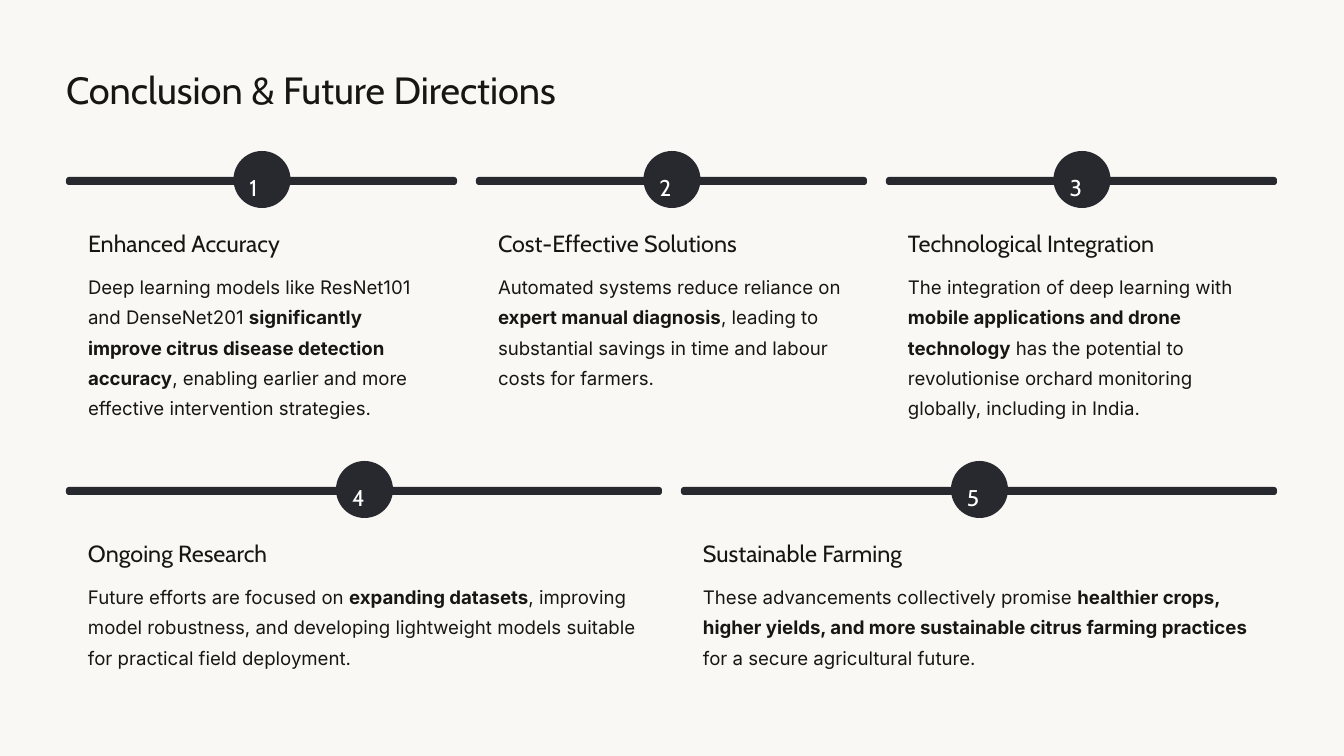
from pptx import Presentation
from pptx import util as u
from pptx.dml.color import RGBColor
from pptx.enum import shapes, text

PX = 914400 / 84
COLORS = {"paper": "F9F8F5", "dark": "28282F", "ink": "161613", "white": "FFFFFF"}
LEFT, CONTENT_W, GAP = 66, 1211, 19

# Each row: card top, card height, cards of (heading, plain, bold, plain)
ROWS = [
    (180, 262, [
        ("Enhanced Accuracy",
         "Deep learning models like ResNet101 and DenseNet201 ",
         "significantly improve citrus disease detection accuracy",
         ", enabling earlier and more effective intervention strategies."),
        ("Cost-Effective Solutions",
         "Automated systems reduce reliance on ",
         "expert manual diagnosis",
         ", leading to substantial savings in time and labour costs for farmers."),
        ("Technological Integration",
         "The integration of deep learning with ",
         "mobile applications and drone technology",
         " has the potential to revolutionise orchard monitoring globally, "
         "including in India."),
    ]),
    (490, 202, [
        ("Ongoing Research",
         "Future efforts are focused on ",
         "expanding datasets",
         ", improving model robustness, and developing lightweight models "
         "suitable for practical field deployment."),
        ("Sustainable Farming",
         "These advancements collectively promise ",
         "healthier crops, higher yields, and more sustainable citrus farming practices",
         " for a secure agricultural future."),
    ]),
]


def px(n):
    return u.Emu(round(n * PX))


def rgb(name):
    return RGBColor.from_string(COLORS[name])


def add_rounded(s, x, y, w, h, radius, color):
    sp = s.shapes.add_shape(shapes.MSO_SHAPE.ROUNDED_RECTANGLE,
                            px(x), px(y), px(w), px(h))
    sp.adjustments[0] = min(0.5, radius / min(w, h))
    sp.fill.solid()
    sp.fill.fore_color.rgb = rgb(color)
    sp.line.fill.background()
    sp.shadow.inherit = False


def add_text(s, x, y, w, h, runs, size, leading, font="Cabin", color="ink", wrap=False):
    """Add a one-paragraph box; runs are (wording, bold) pairs."""
    tf = s.shapes.add_textbox(px(x), px(y), px(w), px(h)).text_frame
    tf.margin_left = tf.margin_right = tf.margin_top = tf.margin_bottom = 0
    tf.vertical_anchor = text.MSO_ANCHOR.TOP
    tf.word_wrap = wrap
    p = tf.paragraphs[0]
    p.alignment = text.PP_ALIGN.LEFT
    p.line_spacing = u.Pt(leading)
    for wording, bold in runs:
        r = p.add_run()
        r.text = wording
        r.font.name = font
        r.font.size = u.Pt(size)
        r.font.bold = bold
        r.font.color.rgb = rgb(color)


def add_card(s, x, y, w, h, number, card):
    heading, before, strong, after = card
    middle = x + w / 2
    add_rounded(s, x, y, w, h, 10, "paper")
    add_rounded(s, x, y - 3, w, 8, 3, "dark")
    add_rounded(s, middle - 28, y - 29, 57, 57, 29, "dark")
    add_text(s, middle - 12, y - 15, 23, 29, [(str(number), False)], 19.5, 31,
             color="white")
    add_text(s, x + 22, y + 47, w - 42, 29, [(heading, False)], 20, 25.5)
    add_text(s, x + 22, y + 88, w - 42, h - 109,
             [(before, False), (strong, True), (after, False)],
             16, 26, font="Inter", wrap=True)


def main():
    prs = Presentation()
    prs.slide_width, prs.slide_height = px(1344), px(756)
    s = prs.slides.add_slide(prs.slide_layouts[6])
    s.background.fill.solid()
    s.background.fill.fore_color.rgb = rgb("paper")
    add_text(s, LEFT, 65, 559, 48, [("Conclusion & Future Directions", False)], 32.5, 40.5)
    number = 1
    for top, height, cards in ROWS:
        width = (CONTENT_W - GAP * (len(cards) - 1)) / len(cards)
        for i, card in enumerate(cards):
            add_card(s, LEFT + i * (width + GAP), top, width, height, number, card)
            number += 1
    prs.save("out.pptx")


if __name__ == "__main__":
    main()
